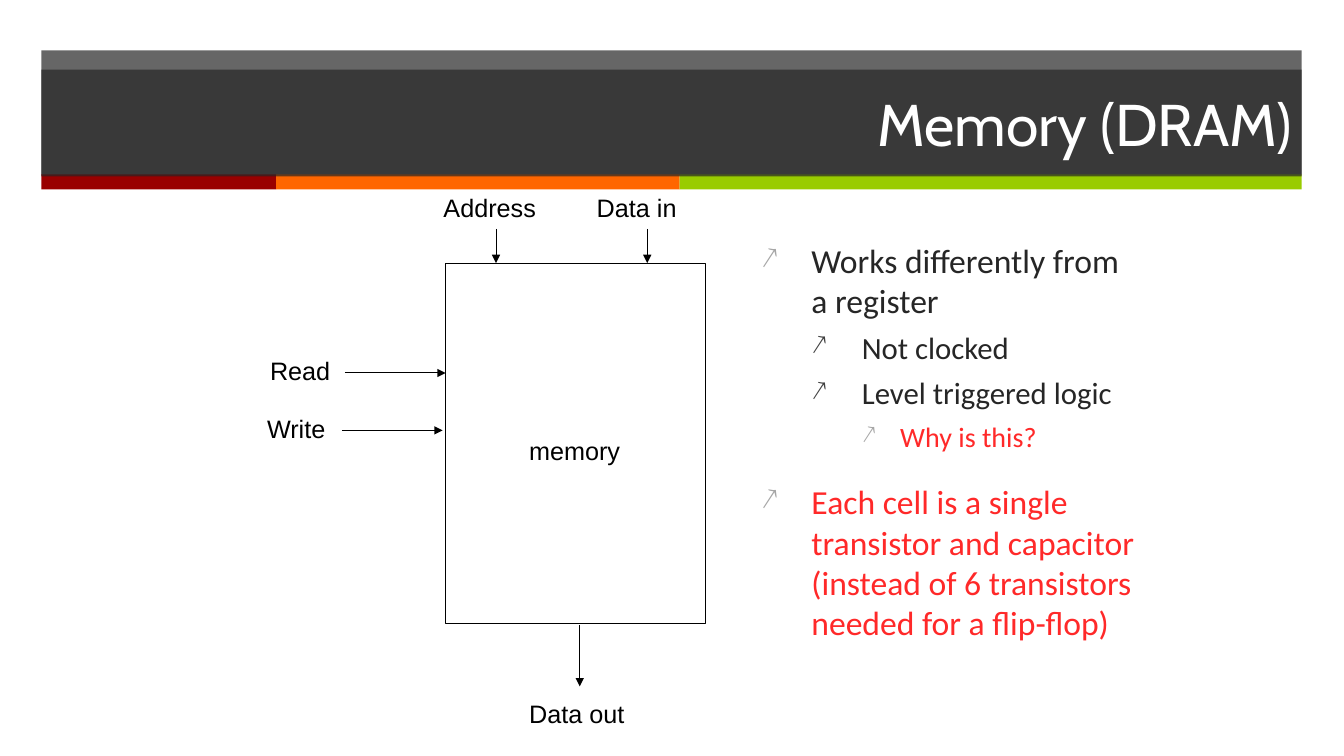
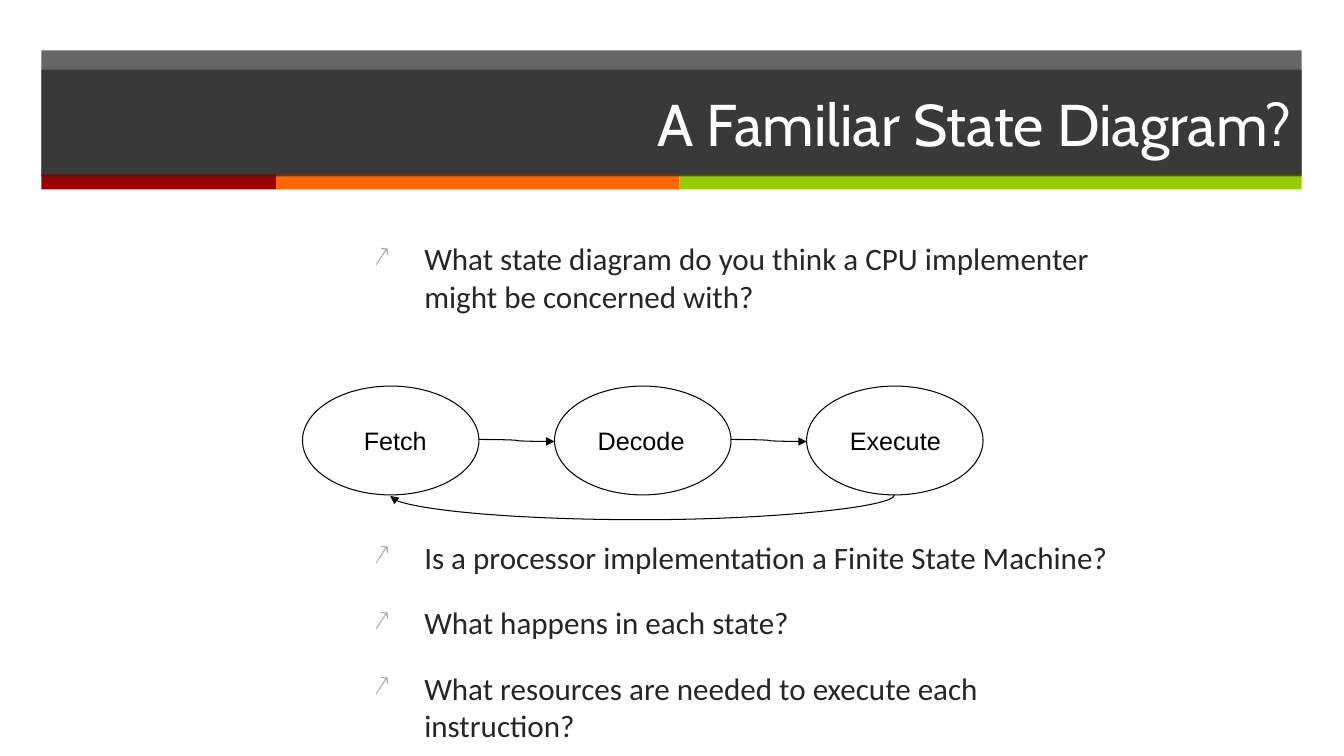
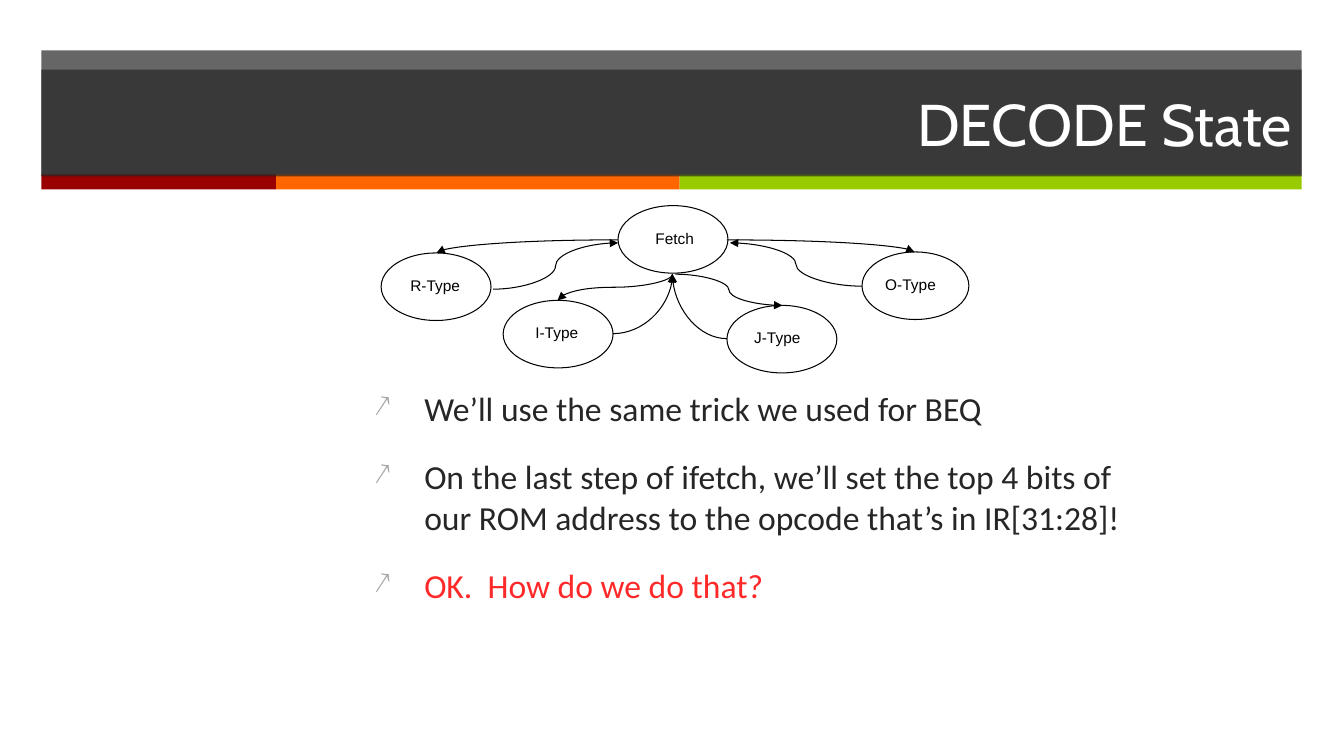
from lxml import etree
from pptx import Presentation
from pptx.dml.color import RGBColor
from pptx.enum import shapes, text
from pptx.oxml import ns
from pptx.util import Inches, Pt

BLACK = RGBColor(0x00, 0x00, 0x00)
WHITE = RGBColor(0xFF, 0xFF, 0xFF)
CHARCOAL = RGBColor(0x26, 0x26, 0x26)
DARK_GRAY = RGBColor(0x40, 0x40, 0x40)
LIGHT_GRAY = RGBColor(0xA6, 0xA6, 0xA6)
DARK_RED = RGBColor(0x99, 0x00, 0x00)
ORANGE = RGBColor(0xFF, 0x66, 0x00)
LIME = RGBColor(0x99, 0xCC, 0x00)
RED = RGBColor(0xFF, 0x29, 0x29)

BAND_LEFT, BAND_WIDTH = 0.41, 12.5
STRIPES = [(2.33, DARK_RED), (4, ORANGE), (6.17, LIME)]
BULLET_LEVELS = [
    (0.5, 0.5, LIGHT_GRAY, 20),
    (1, 0.5, DARK_GRAY, 6),
    (1.38, 0.38, LIGHT_GRAY, 6),
]


def add_child(parent, tag, **attributes):
    child = etree.SubElement(parent, ns.qn(tag))
    for name, value in attributes.items():
        child.set(name, str(value))
    return child


def write_text(paragraph, content, size=18, font="Arial", color=BLACK, align=None):
    if align is not None:
        paragraph.alignment = align
    run = paragraph.add_run()
    run.text = content
    run.font.size = Pt(size)
    run.font.name = font
    run.font.color.rgb = color


def add_shape(slide, kind, box, fill=None, alpha=None, line=None):
    shape = slide.shapes.add_shape(kind, *map(Inches, box))
    shape.shadow.inherit = False
    if fill is None:
        shape.fill.background()
    else:
        shape.fill.solid()
        shape.fill.fore_color.rgb = fill
        if alpha is not None:
            color = shape._element.spPr.find(".//" + ns.qn("a:srgbClr"))
            add_child(color, "a:alpha", val=alpha * 1000)
    if line is None:
        shape.line.fill.background()
    else:
        shape.line.color.rgb = line
        shape.line.width = Pt(0.75)
    return shape


def add_band(slide, top, height):
    box = (BAND_LEFT, top, BAND_WIDTH, height)
    return add_shape(slide, shapes.MSO_SHAPE.RECTANGLE, box, CHARCOAL, alpha=70)


def add_slide(presentation, title):
    slide = presentation.slides.add_slide(presentation.slide_layouts[6])
    add_band(slide, 0.5, 1.24)
    left = BAND_LEFT
    for width, color in STRIPES:
        add_shape(slide, shapes.MSO_SHAPE.RECTANGLE, (left, 1.73, width, 0.15), color)
        left += width
    frame = add_band(slide, 0.69, 1.06).text_frame
    frame.vertical_anchor = text.MSO_ANCHOR.MIDDLE
    write_text(frame.paragraphs[0], title, size=42, font="Cabin", color=WHITE,
               align=text.PP_ALIGN.RIGHT)
    return slide


def add_label(slide, content, left, top, width, height=0.4, size=18, insets=None):
    box = slide.shapes.add_textbox(*map(Inches, (left, top, width, height)))
    frame = box.text_frame
    frame.word_wrap = insets is not None
    if insets:
        horizontal, vertical = map(Inches, insets)
        frame.margin_left = frame.margin_right = horizontal
        frame.margin_top = frame.margin_bottom = vertical
    write_text(frame.paragraphs[0], content, size=size)


def add_bullets(slide, box, items):
    frame = slide.shapes.add_textbox(*map(Inches, box)).text_frame
    frame.word_wrap = True
    for index, (content, options) in enumerate(items):
        paragraph = frame.add_paragraph() if index else frame.paragraphs[0]
        indent, hanging, bullet_color, space = BULLET_LEVELS[options.get("level", 0)]
        properties = paragraph._p.get_or_add_pPr()
        properties.set("marL", str(Inches(indent)))
        properties.set("indent", str(-Inches(hanging)))
        add_child(add_child(properties, "a:buClr"), "a:srgbClr", val=bullet_color)
        add_child(properties, "a:buSzPct", val=90000)
        add_child(properties, "a:buChar", char="↗")
        if index:
            paragraph.space_before = Pt(options.get("space", space))
        write_text(paragraph, content, size=options.get("size", 24), font="Calibri",
                   color=options.get("color", CHARCOAL))


def add_arrow(slide, start, end, kind=shapes.MSO_CONNECTOR.STRAIGHT):
    connector = slide.shapes.add_connector(kind, *map(Inches, (*start, *end)))
    connector.line.color.rgb = BLACK
    connector.line.width = Pt(0.75)
    add_child(connector.line._get_or_add_ln(), "a:tailEnd", type="triangle")
    add_child(connector._element.spPr, "a:effectLst")
    return connector


def add_curve(slide, start, end):
    return add_arrow(slide, start, end, shapes.MSO_CONNECTOR.CURVE)


def add_corner_curve(slide, start, end):
    connector = add_curve(slide, start, end)
    connector._element.spPr.find(ns.qn("a:prstGeom")).set("prst", "curvedConnector2")


def add_downward_curve(slide, start, end, bend=0.5):
    (right, top), (left, bottom) = start, end
    middle_x, middle_y = (left + right) / 2, (top + bottom) / 2
    half_width, half_height = (bottom - top) / 2, (right - left) / 2
    connector = add_curve(slide, (middle_x - half_width, middle_y - half_height),
                          (middle_x + half_width, middle_y + half_height))
    properties = connector._element.spPr
    properties.find(ns.qn("a:xfrm")).set("rot", str(90 * 60000))
    geometry = properties.find(ns.qn("a:prstGeom"))
    guides = geometry.find(ns.qn("a:avLst"))
    if guides is None:
        guides = add_child(geometry, "a:avLst")
    add_child(guides, "a:gd", name="adj1", fmla=f"val {round(bend * 100000)}")


def add_state(slide, left, top, width, height):
    add_shape(slide, shapes.MSO_SHAPE.OVAL, (left, top, width, height), line=BLACK)


def build_memory(presentation):
    slide = add_slide(presentation, "Memory (DRAM)")
    add_shape(slide, shapes.MSO_SHAPE.RECTANGLE, (4.42, 2.61, 2.58, 3.58), line=BLACK)
    for content, left, top, width in [
        ("memory", 5.15, 4.27, 1.1),
        ("Read", 2.58, 3.48, 0.81),
        ("Write", 2.55, 4.05, 0.79),
        ("Address", 4.3, 1.86, 1.12),
        ("Data in", 5.82, 1.86, 0.99),
        ("Data out", 5.15, 6.88, 1.15),
    ]:
        add_label(slide, content, left, top, width)
    for start, end in [
        ((4.92, 2.27), (4.92, 2.61)),
        ((6.42, 2.27), (6.42, 2.61)),
        ((5.75, 6.2), (5.75, 6.81)),
        ((3.42, 3.7), (4.42, 3.7)),
        ((3.39, 4.27), (4.39, 4.27)),
    ]:
        add_arrow(slide, start, end)
    add_bullets(slide, (7.45, 2.33, 3.9, 4.37), [
        ("Works differently from a register", {}),
        ("Not clocked", {"level": 1, "size": 22}),
        ("Level triggered logic", {"level": 1, "size": 22}),
        ("Why is this?", {"level": 2, "size": 20, "color": RED}),
        ("Each cell is a single transistor and capacitor "
         "(instead of 6 transistors needed for a flip-flop)", {"color": RED}),
    ])


def build_state_diagram(presentation):
    slide = add_slide(presentation, "A Familiar State Diagram?")
    first_left, step, width, height, top = 3, 2.5, 1.75, 1.08, 3.83
    labels = [("Fetch", 3.51, 0.83), ("Decode", 5.83, 1.06), ("Execute", 8.33, 1.1)]
    for index, (content, label_left, label_width) in enumerate(labels):
        left = first_left + index * step
        add_state(slide, left, top, width, height)
        add_label(slide, content, label_left, 4.17, label_width)
        if index:
            add_curve(slide, (left - step + width, 4.36), (left, 4.38))
    add_downward_curve(slide, (8.87, 4.91), (3.87, 4.92), bend=25)
    add_bullets(slide, (3.61, 2.33, 7.74, 5.08), [
        ("What state diagram do you think a CPU implementer might be concerned with?",
         {"size": 22.2}),
        ("Is a processor implementation a Finite State Machine?",
         {"size": 22.2, "space": 160}),
        ("What happens in each state?", {"size": 22.2}),
        ("What resources are needed to execute each instruction?", {"size": 22.2}),
    ])


def build_decode(presentation):
    slide = add_slide(presentation, "DECODE State")
    add_bullets(slide, (3.61, 3.8, 7.74, 3.43), [
        ("We’ll use the same trick we used for BEQ", {}),
        ("On the last step of ifetch, we’ll set the top 4 bits of our ROM address "
         "to the opcode that’s in IR[31:28]!", {}),
        ("OK.  How do we do that?", {"color": RED}),
    ])
    for content, left, top, width, label_left, label_width in [
        ("Fetch", 6.13, 2.04, 1.09, 6.44, 0.51),
        ("R-Type", 3.78, 2.51, 1.09, 4.01, 0.63),
        ("I-Type", 4.99, 2.98, 1.09, 5.25, 0.57),
        ("J-Type", 7.21, 3.03, 1.09, 7.42, 0.6),
        ("O-Type", 8.55, 2.5, 1.06, 8.72, 0.75),
    ]:
        add_state(slide, left, top, width, 0.67)
        add_label(slide, content, label_left, top + 0.2, label_width, 0.25,
                  size=11, insets=(0.06, 0.03))
    for start, end in [
        ((4.89, 2.87), (6.13, 2.41)),
        ((8.55, 2.84), (7.24, 2.41)),
        ((6.7, 2.72), (7.76, 3.03)),
    ]:
        add_curve(slide, start, end)
    for start, end in [
        ((6.13, 2.38), (4.33, 2.51)),
        ((6.08, 3.31), (6.67, 2.72)),
        ((7.21, 2.38), (9.07, 2.5)),
        ((7.21, 3.36), (6.67, 2.72)),
    ]:
        add_corner_curve(slide, start, end)
    add_downward_curve(slide, (6.67, 2.72), (5.53, 2.98))


def main():
    presentation = Presentation()
    presentation.slide_width = Inches(13.33)
    presentation.slide_height = Inches(7.5)
    build_memory(presentation)
    build_state_diagram(presentation)
    build_decode(presentation)
    presentation.save("out.pptx")


if __name__ == "__main__":
    main()
